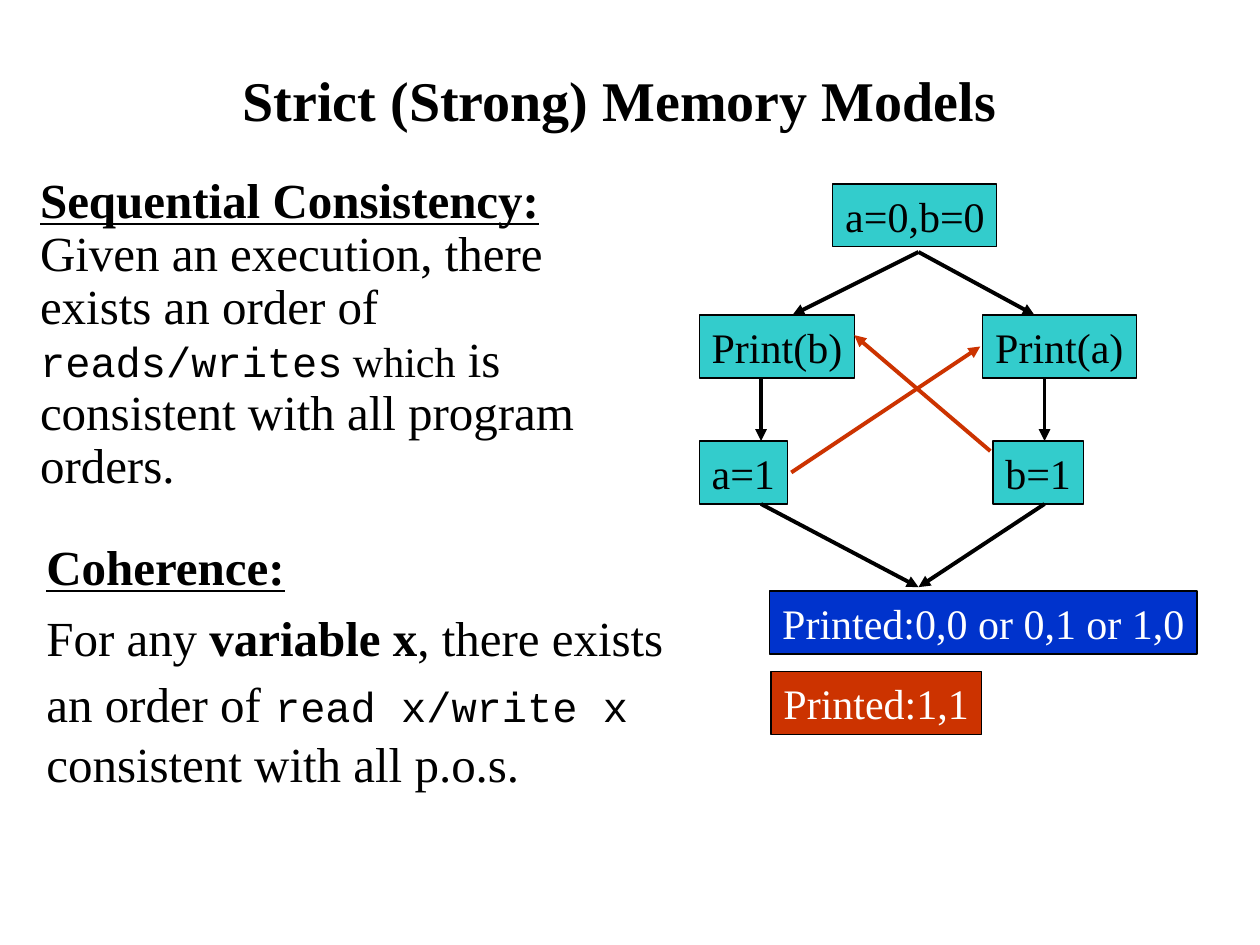
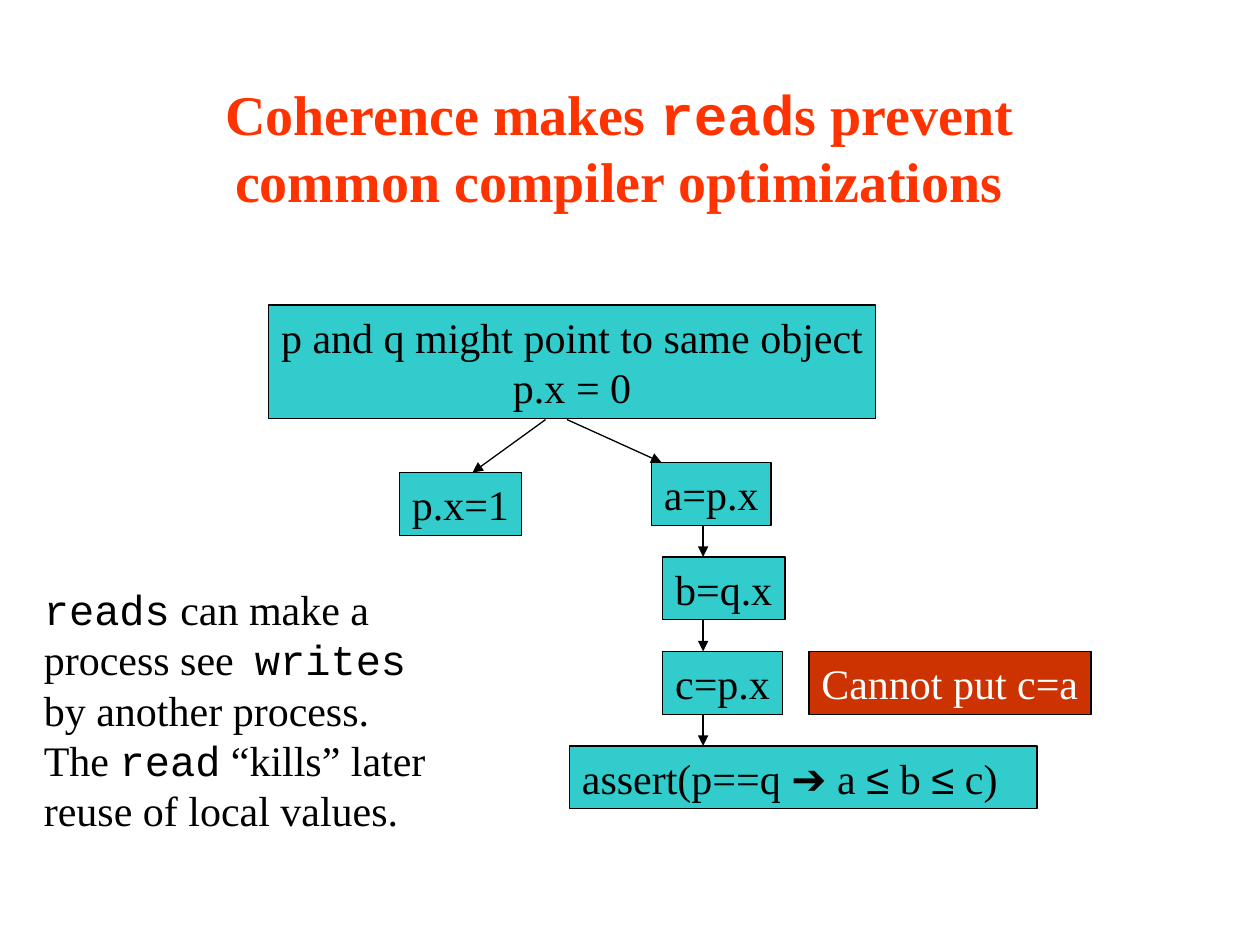
from pptx import Presentation
from pptx.dml.color import RGBColor
from pptx.enum.shapes import MSO_CONNECTOR, MSO_SHAPE
from pptx.enum.text import MSO_ANCHOR, PP_ALIGN
from pptx.oxml.ns import qn
from pptx.util import Inches, Pt
from lxml.etree import SubElement

SERIF, MONO, SYMBOL = "Times New Roman", "Courier New", "Arial"
BLACK, WHITE, ORANGE = "000000", "FFFFFF", "FF3300"
TEAL, BLUE, RED = "33CCCC", "0033CC", "CC3300"
BOX_H, LINE_H = 0.5, 0.4

# A run is a string, or (string, font settings). A paragraph is a list of runs.
CODE = dict(name=MONO)
CODE24 = dict(name=MONO, size=24)
SIGN = dict(name=SYMBOL)
HEAD = dict(bold=True, underline=True)

# Memory models: columns and rows of the execution graph
LEFT_X, MID_X, RIGHT_X = 6.04, 7.29, 8.29
PRINT_Y, WRITE_Y, JOIN_Y = 2.5, 3.5, 4.66
FORK_Y = 2.0

# Compiler optimizations: the reading process runs down one column
READ_X, READ_Y, STEP = 5.58, 3.67, 0.75
read_rows = [READ_Y + STEP * i for i in range(4)]

SLIDES = [
    dict(
        title=["Strict (Strong) Memory Models"],
        title_at=(0.67, 0.33, 8.5, 0.92), title_color=BLACK,
        notes=[
            dict(at=(0.22, 1.35, 4.67, 2.62), size=28, spacing=0.9, paragraphs=[
                [("Sequential Consistency:", HEAD),
                 " Given an execution, there exists an order of ",
                 ("reads/writes", CODE24), (" which", dict(size=24)),
                 " is consistent with all program orders."]]),
            dict(at=(0.27, 4.21, 5.17, 2.13), size=28, before=7, paragraphs=[
                [("Coherence:", HEAD)],
                ["For any ", ("variable x", dict(bold=True)),
                 ", there exists an order of", (" ", dict(size=32)),
                 ("read x/write x ", CODE24), "consistent with all p.o.s."]]),
        ],
        # left, top, width, fill, paragraphs
        boxes=[
            (6.61, 1.46, 1.3, TEAL, [["a=0,b=0"]]),
            (5.55, PRINT_Y, 1.23, TEAL, [["Print(b)"]]),
            (7.8, PRINT_Y, 1.22, TEAL, [["Print(a)"]]),
            (5.55, WRITE_Y, 0.7, TEAL, [["a=1"]]),
            (7.88, WRITE_Y, 0.72, TEAL, [["b=1"]]),
            (6.11, 4.69, 3.39, BLUE, [["Printed:0,0 or 0,1 or 1,0"]]),
            (6.12, 5.33, 1.67, RED, [["Printed:1,1"]]),
        ],
        arrow_width=2.25,
        # start, end, colour
        arrows=[
            ((MID_X, FORK_Y), (8.21, PRINT_Y), BLACK),
            ((MID_X, FORK_Y), (6.29, PRINT_Y), BLACK),
            *[((x, PRINT_Y + BOX_H), (x, WRITE_Y), BLACK) for x in (LEFT_X, RIGHT_X)],
            *[((x, WRITE_Y + BOX_H), (MID_X, JOIN_Y), BLACK) for x in (LEFT_X, RIGHT_X)],
            ((7.86, 3.58), (6.78, 2.66), RED),
            ((6.28, 3.75), (7.78, 2.75), RED),
        ],
    ),
    dict(
        title=["Coherence makes ", ("read", CODE),
               "s prevent\ncommon compiler optimizations"],
        title_at=(1.25, 0.33, 7.33, 1.67), title_color=ORANGE,
        notes=[
            dict(at=(0.25, 4.58, 3.4, 2.1), size=24, paragraphs=[
                [("reads", CODE), " can make a"],
                ["process see  ", ("writes", CODE)],
                ["by another process."],
                ["The ", ("read", CODE), " “kills” later"],
                ["reuse of local values."]]),
        ],
        boxes=[
            (2.13, 2.42, 4.82, TEAL, [["p and q might point to same object"], ["p.x = 0"]]),
            (3.17, 3.75, 0.97, TEAL, [["p.x=1"]]),
            (5.17, read_rows[0], 0.95, TEAL, [["a=p.x"]]),
            (5.26, read_rows[1], 0.97, TEAL, [["b=q.x"]]),
            (5.26, read_rows[2], 0.95, TEAL, [["c=p.x"]]),
            (4.52, read_rows[3], 3.71, TEAL,
             [["assert(p==q ", ("➔", SIGN), " a ", ("≤", SIGN), " b ", ("≤", SIGN), " c)"]]),
            (6.42, read_rows[2], 2.24, RED, [["Cannot put c=a"]]),
        ],
        arrow_width=0.75,
        arrows=[
            ((4.33, 3.33), (3.75, 3.75), BLACK),
            ((4.5, 3.33), (5.25, READ_Y), BLACK),
            *[((READ_X, y + BOX_H), (READ_X, y + STEP), BLACK) for y in read_rows[:-1]],
        ],
    ),
]


def rgb(color):
    return RGBColor.from_string(color)


def inches(values):
    return [Inches(v) for v in values]


def write(tf, paragraphs, size, color, bold=False, align=PP_ALIGN.LEFT,
          spacing=None, before=0):
    """Fill a text frame; runs override the font of their paragraph."""
    tf.word_wrap = True
    for i, runs in enumerate(paragraphs):
        p = tf.add_paragraph() if i else tf.paragraphs[0]
        p.alignment = align
        if spacing:
            p.line_spacing = spacing
        if i and before:
            p.space_before = Pt(before)
        for run in runs:
            text, font = (run, {}) if isinstance(run, str) else run
            for n, line in enumerate(text.split("\n")):
                if n:
                    p.add_line_break()
                r = p.add_run()
                r.text = line
                f = r.font
                f.name = font.get("name", SERIF)
                f.size = Pt(font.get("size", size))
                f.bold = font.get("bold", bold)
                f.underline = font.get("underline", False)
                f.color.rgb = rgb(color)


def add_title(s, runs, at, color):
    tf = s.shapes.add_textbox(*inches(at)).text_frame
    tf.vertical_anchor = MSO_ANCHOR.MIDDLE
    write(tf, [runs], 32, color, bold=True, align=PP_ALIGN.CENTER)


def add_note(s, at, paragraphs, size, **layout):
    tf = s.shapes.add_textbox(*inches(at)).text_frame
    write(tf, paragraphs, size, BLACK, **layout)


def add_box(s, left, top, width, fill, paragraphs):
    height = BOX_H + LINE_H * (len(paragraphs) - 1)
    sp = s.shapes.add_shape(MSO_SHAPE.RECTANGLE, *inches((left, top, width, height)))
    sp.shadow.inherit = False
    sp.fill.solid()
    sp.fill.fore_color.rgb = rgb(fill)
    sp.line.color.rgb = rgb(BLACK)
    sp.line.width = Pt(0.75)
    centered = len(paragraphs) > 1
    tf = sp.text_frame
    tf.vertical_anchor = MSO_ANCHOR.TOP
    tf.margin_right = 0
    if centered:
        tf.margin_left = 0
    write(tf, paragraphs, 24, BLACK if fill == TEAL else WHITE,
          align=PP_ALIGN.CENTER if centered else PP_ALIGN.LEFT)


def add_arrow(s, start, end, color, width):
    c = s.shapes.add_connector(MSO_CONNECTOR.STRAIGHT, *inches(start + end))
    c.line.color.rgb = rgb(color)
    c.line.width = Pt(width)
    SubElement(c.line._get_or_add_ln(), qn("a:tailEnd"), type="triangle")
    SubElement(c._element.spPr, qn("a:effectLst"))


def main():
    prs = Presentation()
    prs.slide_width, prs.slide_height = inches((10, 7.5))
    for content in SLIDES:
        s = prs.slides.add_slide(prs.slide_layouts[6])
        add_title(s, content["title"], content["title_at"], content["title_color"])
        for box in content["boxes"]:
            add_box(s, *box)
        for arrow in content["arrows"]:
            add_arrow(s, *arrow, content["arrow_width"])
        for note in content["notes"]:
            add_note(s, **note)
    prs.save("out.pptx")


if __name__ == "__main__":
    main()
